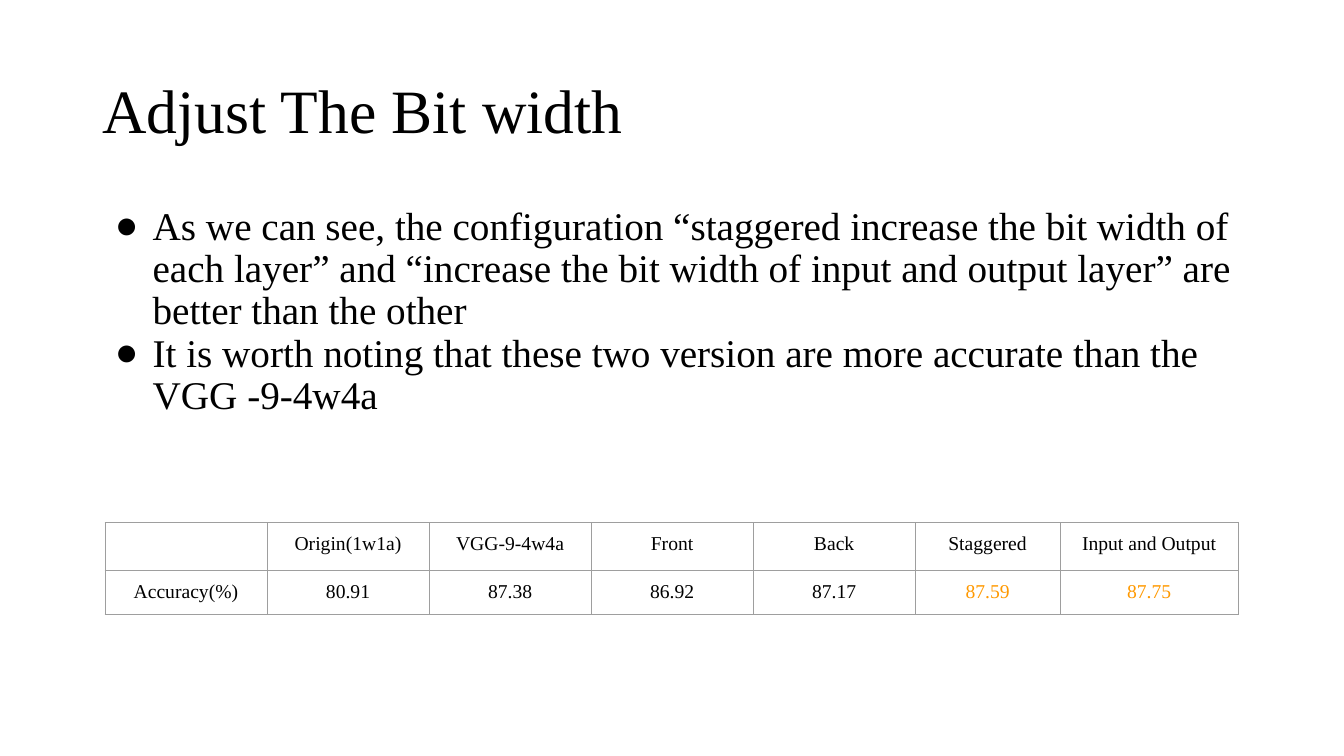
from lxml import etree
from pptx import Presentation
from pptx.dml.color import RGBColor
from pptx.enum import text
from pptx.oxml import ns
from pptx.util import Pt

FONT = "Times New Roman"
COLORS = {"ink": "000000", "highlight": "FF9900", "border": "9E9E9E"}

TITLE = "Adjust The Bit width"
FINDINGS = [
    "As we can see, the configuration “staggered increase the bit width of each layer” "
    "and “increase the bit width of input and output layer” are better than the other",
    "It is worth noting that these two version are more accurate than the VGG -9-4w4a",
]
ACCURACY = [
    ["", "Origin(1w1a)", "VGG-9-4w4a", "Front", "Back", "Staggered", "Input and Output"],
    ["Accuracy(%)", "80.91", "87.38", "86.92", "87.17", "87.59", "87.75"],
]
HIGHLIGHTED = {"87.59", "87.75"}
COLUMN_WIDTHS = [115.75] * 5 + [103.5, 127.25]
ROW_HEIGHTS = [34.3, 30.2]


def add_child(parent, tag, **attributes):
    return etree.SubElement(parent, ns.qn(tag), attributes)


def add_span(para, words, size, color="ink"):
    span = para.add_run()
    span.text = words
    span.font.name = FONT
    span.font.size = Pt(size)
    span.font.color.rgb = RGBColor.from_string(COLORS[color])


def add_text_frame(page, box, anchor):
    frame = page.shapes.add_textbox(*map(Pt, box)).text_frame
    frame.word_wrap = True
    frame.vertical_anchor = anchor
    return frame


def add_title(page, box):
    para = add_text_frame(page, box, text.MSO_ANCHOR.MIDDLE).paragraphs[0]
    para.line_spacing = 0.9
    add_span(para, TITLE, 44)


def add_findings(page, box):
    frame = add_text_frame(page, box, text.MSO_ANCHOR.TOP)
    for index, finding in enumerate(FINDINGS):
        para = frame.add_paragraph() if index else frame.paragraphs[0]
        # Hanging bullet
        properties = para._p.get_or_add_pPr()
        properties.set("marL", str(Pt(36)))
        properties.set("indent", str(-Pt(27)))
        add_child(add_child(properties, "a:buClr"), "a:srgbClr", val=COLORS["ink"])
        add_child(properties, "a:buFont", typeface=FONT)
        add_child(properties, "a:buChar", char="●")
        para.line_spacing = 0.9
        add_span(para, finding, 28)


def set_borders(cell):
    properties = cell._tc.get_or_add_tcPr()
    for index, side in enumerate("LRTB"):
        line = add_child(properties, f"a:ln{side}", w=str(Pt(0.75)))
        add_child(add_child(line, "a:solidFill"), "a:srgbClr", val=COLORS["border"])
        properties.insert(index, line)


def fill_cell(cell, words):
    cell.fill.background()
    set_borders(cell)
    cell.margin_left = cell.margin_right = Pt(7.2)
    # An empty cell needs no padding, so it cannot stretch its row
    cell.margin_top = cell.margin_bottom = Pt(7.2 if words else 0)
    if words:
        para = cell.text_frame.paragraphs[0]
        para.alignment = text.PP_ALIGN.CENTER
        add_span(para, words, 14, "highlight" if words in HIGHLIGHTED else "ink")


def add_accuracy_table(page, left, top):
    box = (left, top, sum(COLUMN_WIDTHS), sum(ROW_HEIGHTS))
    table = page.shapes.add_table(
        len(ROW_HEIGHTS), len(COLUMN_WIDTHS), *map(Pt, box)).table
    table.first_row = table.horz_banding = False
    for column, width in zip(table.columns, COLUMN_WIDTHS):
        column.width = Pt(width)
    for row, height, values in zip(table.rows, ROW_HEIGHTS, ACCURACY):
        row.height = Pt(height)
        for cell, words in zip(row.cells, values):
            fill_cell(cell, words)


def main():
    deck = Presentation()
    deck.slide_width, deck.slide_height = Pt(960), Pt(540)
    page = deck.slides.add_slide(deck.slide_layouts[6])
    add_title(page, (66, 28.75, 828, 104.4))
    add_findings(page, (66, 143.75, 828, 202.3))
    add_accuracy_table(page, 75, 373.5)
    deck.save("out.pptx")


if __name__ == "__main__":
    main()
